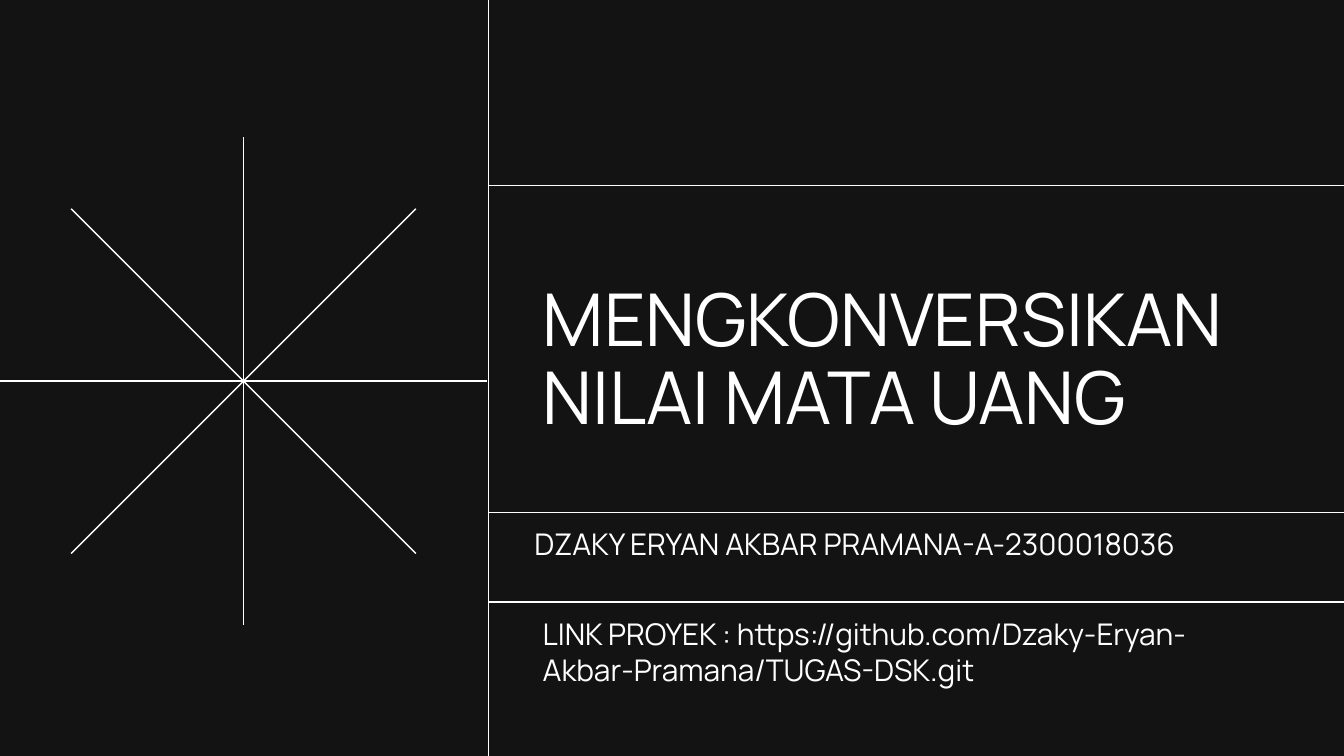
from math import cos, pi, sin

from lxml import etree
from pptx import Presentation
from pptx.dml.color import RGBColor
from pptx.enum.shapes import MSO_CONNECTOR
from pptx.enum.text import MSO_ANCHOR, PP_ALIGN
from pptx.oxml.ns import qn
from pptx.util import Pt

STRAIGHT = MSO_CONNECTOR.STRAIGHT
TOP, BOTTOM = MSO_ANCHOR.TOP, MSO_ANCHOR.BOTTOM
LEFT = PP_ALIGN.LEFT
color = RGBColor.from_string
BACKGROUND, WHITE = "131313", "FFFFFF"
WIDTH, HEIGHT = 720, 405

presentation = Presentation()
presentation.slide_width, presentation.slide_height = Pt(WIDTH), Pt(HEIGHT)
slide = presentation.slides.add_slide(presentation.slide_layouts[6])
slide.background.fill.solid()
slide.background.fill.fore_color.rgb = color(BACKGROUND)


def add_line(*ends):
    """Draw a thin white line; ends are x1, y1, x2, y2 in points."""
    line = slide.shapes.add_connector(STRAIGHT, *[Pt(end) for end in ends])
    line.line.color.rgb = color(WHITE)
    line.line.width = Pt(0.75)
    etree.SubElement(line._element.spPr, qn("a:effectLst"))


def add_text(text, box, size, frame_format, line_spacing=1.0):
    shape = slide.shapes.add_textbox(*[Pt(length) for length in box])
    frame = shape.text_frame
    for name, value in frame_format.items():
        setattr(frame, name, value)
    paragraph = frame.paragraphs[0]
    paragraph.text = text
    paragraph.alignment = LEFT
    paragraph.line_spacing = line_spacing
    font = paragraph.runs[0].font
    for name, value in {"name": "Manrope", "size": Pt(size)}.items():
        setattr(font, name, value)
    font.color.rgb = color(WHITE)


inset = Pt(7.2)
body_format = {
    "word_wrap": True, "vertical_anchor": TOP,
    "margin_left": inset, "margin_top": inset,
    "margin_right": inset, "margin_bottom": inset,
}
title_format = {**body_format, "vertical_anchor": BOTTOM,
                "margin_left": 0, "margin_top": 0}

add_text("MENGKONVERSIKAN NILAI MATA UANG",
         (290.9, 131, 418.3, 112.3), 39, title_format, 0.9)
add_text("DZAKY ERYAN AKBAR PRAMANA-A-2300018036",
         (279.2, 274.5, 380.2, 55.4), 16, body_format)
add_text("LINK PROYEK : https://github.com/Dzaky-Eryan-Akbar-Pramana/TUGAS-DSK.git",
         (283.7, 322.5, 403.2, 49.7), 16, body_format)

# Star: four lines through one centre, 45 degrees apart
center_x, center_y, radius = 130.5, 204.2, 130.6
for step in range(4):
    dx, dy = radius * cos(step * pi / 4), radius * sin(step * pi / 4)
    add_line(center_x - dx, center_y - dy, center_x + dx, center_y + dy)

# Column divider and the row rules to its right
divider_x = 261.8
add_line(divider_x, 0, divider_x, HEIGHT)
for rule_y in (99.3, 274.5, 322.5):
    add_line(divider_x, rule_y, WIDTH, rule_y)

presentation.save("out.pptx")
